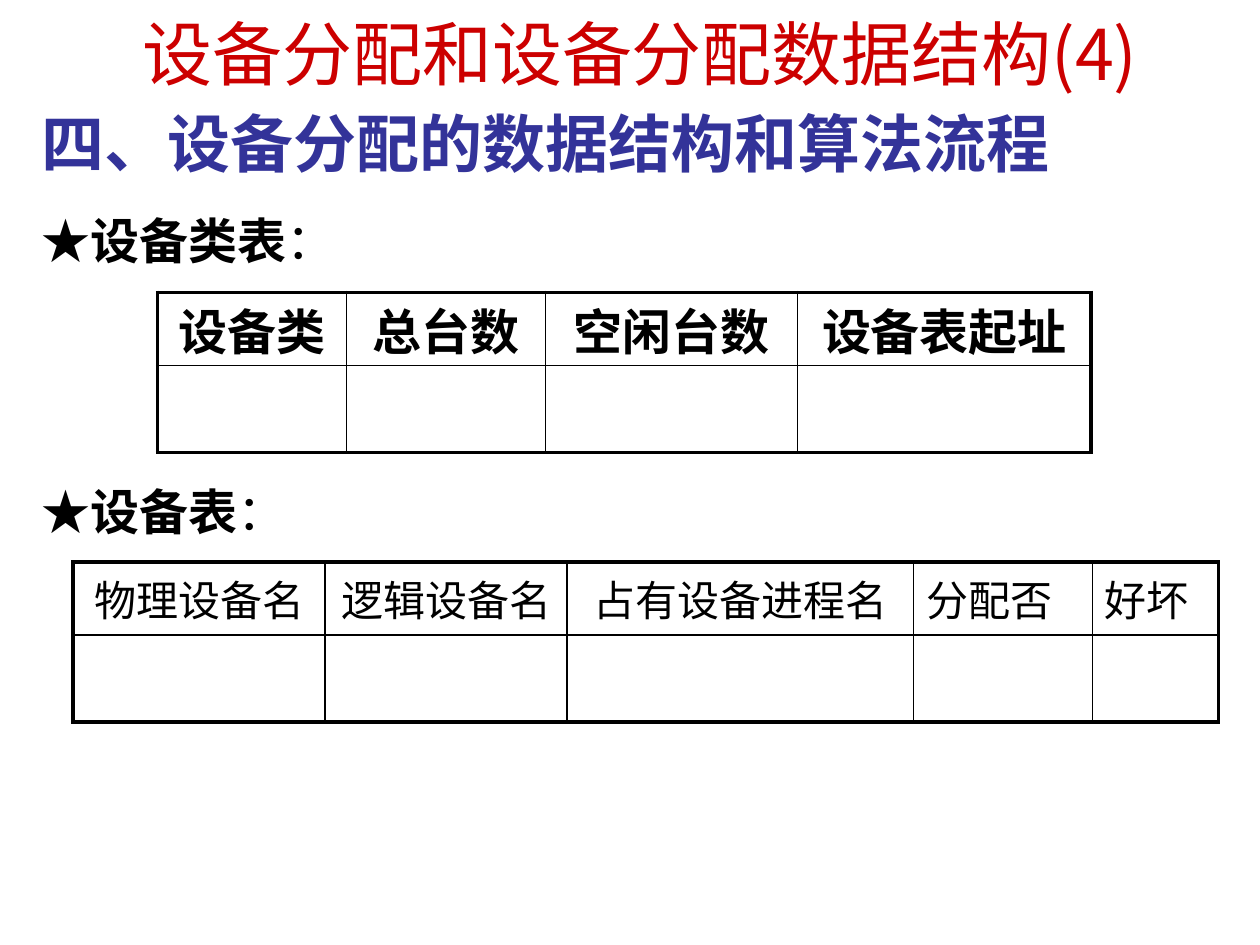
from lxml import etree
from pptx import Presentation
from pptx.dml.color import RGBColor
from pptx.enum.text import MSO_ANCHOR, PP_ALIGN
from pptx.oxml.ns import qn
from pptx.util import Inches, Pt

CENTER, LEFT, JUSTIFY = PP_ALIGN.CENTER, PP_ALIGN.LEFT, PP_ALIGN.JUSTIFY
TOP, MIDDLE = MSO_ANCHOR.TOP, MSO_ANCHOR.MIDDLE
RED = RGBColor(0xCC, 0x00, 0x00)
BLUE = RGBColor(0x33, 0x33, 0x99)
BLACK = RGBColor(0x00, 0x00, 0x00)
SERIF = "Times New Roman"
SANS_JP = "Noto Sans CJK JP"
SANS_SC = "Noto Sans CJK SC"
TITLE_ONLY = 5
OUTER, INNER = Pt(2.25), Pt(1)
ROW_HEIGHTS = (0.58, 0.69)


def add_span(para, text, size, font, color, bold=False):
    span = para.add_run()
    span.text = text
    span.font.size = Pt(size)
    span.font.name = font
    span.font.bold = bold
    span.font.color.rgb = color
    if font != SERIF:
        east_asian = etree.SubElement(span.font._element, qn("a:ea"))
        east_asian.set("typeface", font)


def clear_margins(frame):
    frame.margin_left = frame.margin_right = 0
    frame.margin_top = frame.margin_bottom = 0


def fill_title(title, left, top, width, height):
    title.left, title.top = Inches(left), Inches(top)
    title.width, title.height = Inches(width), Inches(height)
    frame = title.text_frame
    clear_margins(frame)
    frame.vertical_anchor = TOP
    para = frame.paragraphs[0]
    para.alignment = CENTER
    add_span(para, "设备分配和设备分配数据结构", 40, SERIF, RED)
    add_span(para, "(4)", 40, SANS_JP, RED)


def add_line(page, left, top, width, height, spans):
    box = page.shapes.add_textbox(Inches(left), Inches(top), Inches(width), Inches(height))
    frame = box.text_frame
    frame.word_wrap = True
    frame.vertical_anchor = MIDDLE
    clear_margins(frame)
    para = frame.paragraphs[0]
    para.alignment = JUSTIFY
    for span in spans:
        add_span(para, *span)


def add_label(page, top, text):
    add_line(page, 0.33, top, 9.42, 0.47, [
        ("★", 28, SANS_SC, BLACK),
        (text, 28, SANS_SC, BLACK, True),
        ("：", 28, SANS_SC, BLACK),
    ])


def set_borders(cell, widths):
    properties = cell._tc.get_or_add_tcPr()
    for side, width in zip("LRTB", widths):
        line = etree.SubElement(properties, qn(f"a:ln{side}"), w=str(width))
        fill = etree.SubElement(line, qn("a:solidFill"))
        etree.SubElement(fill, qn("a:srgbClr"), val=str(BLACK))


def add_grid(page, left, top, columns, size, bold=False):
    widths = [width for _, width, _ in columns]
    last_row, last_column = len(ROW_HEIGHTS) - 1, len(columns) - 1
    table = page.shapes.add_table(
        len(ROW_HEIGHTS), len(columns), Inches(left), Inches(top),
        Inches(sum(widths)), Inches(sum(ROW_HEIGHTS))).table
    table.first_row = table.horz_banding = False
    for row, height in zip(table.rows, ROW_HEIGHTS):
        row.height = Inches(height)
    for index, (heading, width, alignment) in enumerate(columns):
        table.columns[index].width = Inches(width)
        for row in range(len(ROW_HEIGHTS)):
            cell = table.cell(row, index)
            edges = (index == 0, index == last_column, row == 0, row == last_row)
            set_borders(cell, [OUTER if edge else INNER for edge in edges])
            cell.fill.background()
        header = table.cell(0, index)
        header.vertical_anchor = MIDDLE
        header.margin_top = header.margin_bottom = 0
        para = header.text_frame.paragraphs[0]
        para.alignment = alignment
        add_span(para, heading, size, SERIF, BLACK, bold)


def main():
    deck = Presentation()
    deck.slide_width, deck.slide_height = Inches(10), Inches(7.5)
    page = deck.slides.add_slide(deck.slide_layouts[TITLE_ONLY])
    fill_title(page.shapes.title, 0.83, 0.08, 8.5, 0.67)
    add_line(page, 0.33, 0.83, 8.42, 0.6,
             [("四、设备分配的数据结构和算法流程", 36, SANS_JP, BLUE, True)])
    add_label(page, 1.67, "设备类表")
    add_label(page, 3.82, "设备表")
    add_grid(page, 1.25, 2.32, [
        ("设备类", 1.5, CENTER),
        ("总台数", 1.58, CENTER),
        ("空闲台数", 2, CENTER),
        ("设备表起址", 2.33, CENTER),
    ], 28, True)
    add_grid(page, 0.58, 4.46, [
        ("物理设备名", 2, CENTER),
        ("逻辑设备名", 1.92, CENTER),
        ("占有设备进程名", 2.75, CENTER),
        ("分配否", 1.42, LEFT),
        ("好坏", 1, LEFT),
    ], 24)
    deck.save("out.pptx")


if __name__ == "__main__":
    main()
